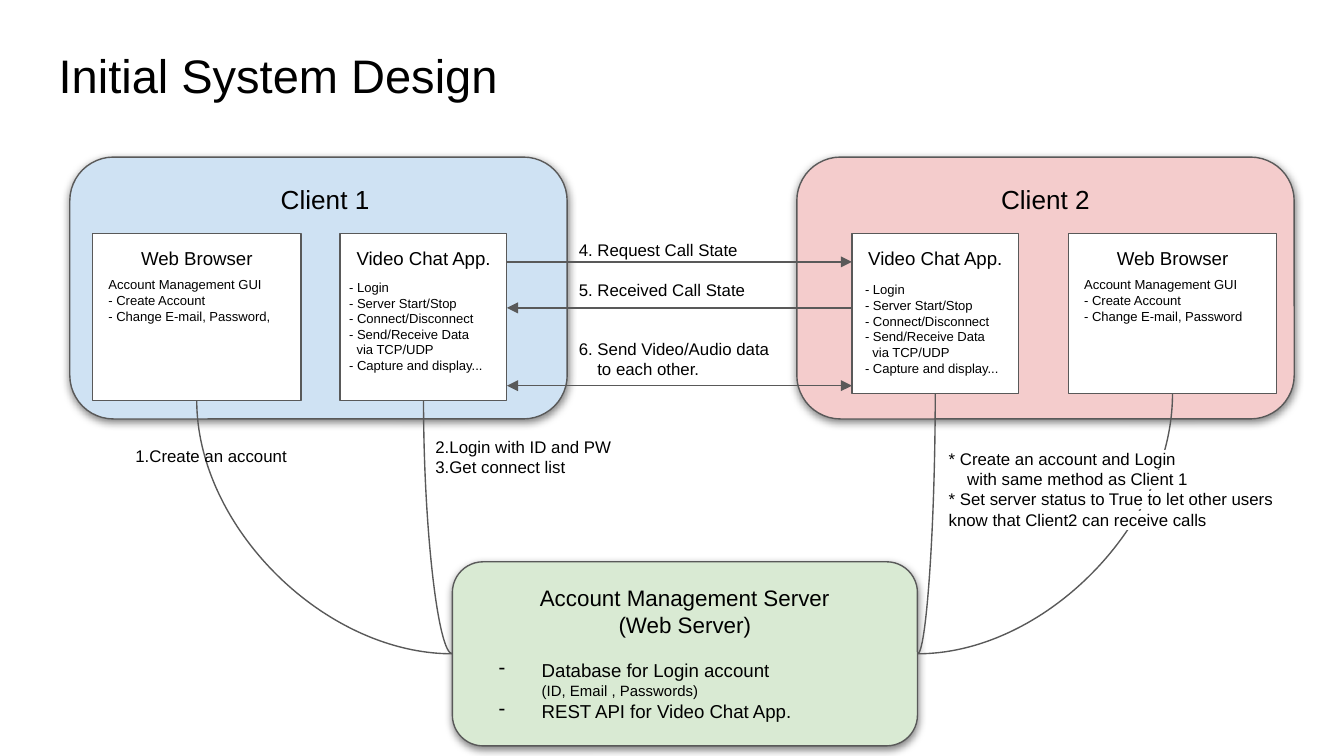
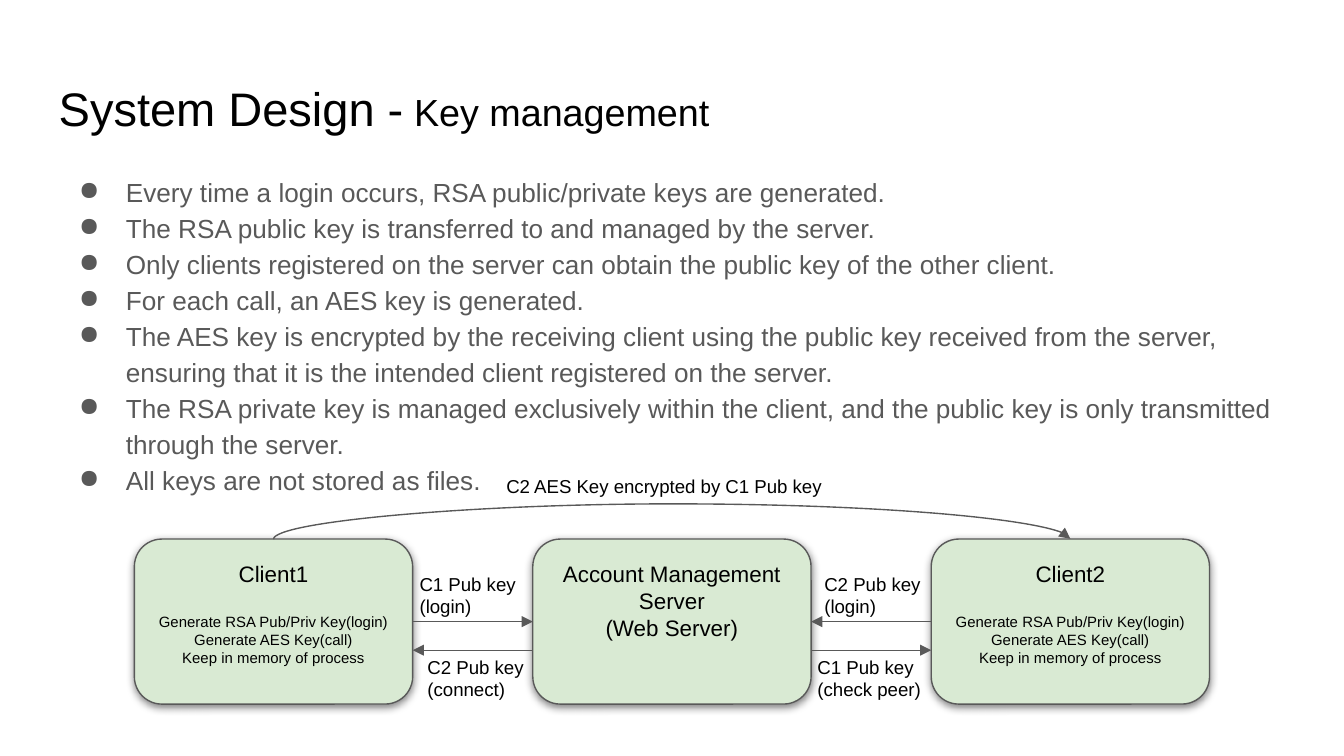
from dataclasses import dataclass, replace

from lxml.etree import SubElement
from pptx import Presentation
from pptx.dml.color import RGBColor
from pptx.enum.shapes import MSO_CONNECTOR as Link, MSO_SHAPE as Shape
from pptx.enum.text import MSO_ANCHOR as Anchor, MSO_AUTO_SIZE as Fit, PP_ALIGN as Align
from pptx.oxml.ns import qn
from pptx.util import Cm, Pt


@dataclass(frozen=True)
class Theme:
    """Colours, fonts and type sizes shared by the slides."""
    font: str = "Arial"
    ink: str = "000000"
    grey: str = "595959"
    white: str = "FFFFFF"
    blue: str = "CFE2F3"
    red: str = "F4CCCC"
    green: str = "D9EAD3"
    title: float = 25.2
    subtitle: float = 20.2
    body: float = 14
    node: float = 12
    card: float = 10
    label: float = 9
    detail: float = 8
    small: float = 7
    stroke: float = 0.75
    inset: float = 0.25


THEME = Theme()


@dataclass(frozen=True)
class Box:
    """A rectangle in centimetres."""
    left: float
    top: float
    width: float
    height: float

    def inner(self, left, top, width, height):
        """Return a box placed relative to this one."""
        return Box(self.left + left, self.top + top, width, height)

    def lengths(self):
        """Return left, top, width and height as lengths."""
        return [Cm(value) for value in (self.left, self.top, self.width, self.height)]


@dataclass(frozen=True)
class Line:
    """One paragraph: text, type size and layout."""
    text: str
    size: float
    left: float = 0
    first: float = 0
    bullet: str = ""
    before: float = 0
    spacing: float = 1
    align: Align = Align.LEFT
    color: str = THEME.ink
    highlight: str = ""


def rgb(value):
    """Turn a hex string into a colour."""
    return RGBColor.from_string(value)


def add_xml(parent, tag, **attributes):
    """Append a drawing element with attributes."""
    node = SubElement(parent, qn(f"a:{tag}"))
    for name, value in attributes.items():
        node.set(name, str(value))
    return node


def centred(text, size, **options):
    """Return a centred line."""
    return Line(text, size, align=Align.CENTER, **options)


def style_para(para, line):
    """Fill a paragraph from a line."""
    properties = para._p.get_or_add_pPr()
    if line.left:
        properties.set("marL", str(Cm(line.left)))
        properties.set("indent", str(Cm(line.first)))
    if line.bullet:
        add_xml(add_xml(properties, "buClr"), "srgbClr", val=line.color)
        add_xml(properties, "buChar", char=line.bullet)
    para.alignment = line.align
    para.line_spacing = line.spacing
    para.space_before = Pt(line.before)
    para.font.name = THEME.font
    para.font.size = Pt(line.size)
    para.font.color.rgb = rgb(line.color)
    span = para.add_run()
    span.text = line.text
    if line.highlight:
        mark = add_xml(span._r.get_or_add_rPr(), "highlight")
        add_xml(mark, "srgbClr", val=line.highlight)


def write(shape, lines, anchor=Anchor.TOP):
    """Write lines into a shape with the common insets."""
    frame = shape.text_frame
    frame.word_wrap = True
    frame.vertical_anchor = anchor
    frame.margin_left = frame.margin_right = Cm(THEME.inset)
    frame.margin_top = frame.margin_bottom = Cm(THEME.inset)
    for index, line in enumerate(lines):
        style_para(frame.add_paragraph() if index else frame.paragraphs[0], line)


def add_text(page, box, lines, fit=Fit.SHAPE_TO_FIT_TEXT, anchor=Anchor.TOP):
    """Add a text box."""
    text = page.shapes.add_textbox(*box.lengths())
    write(text, lines, anchor)
    text.text_frame.auto_size = fit
    return text


def add_box(page, kind, box, fill, lines):
    """Add an outlined box; rounded ones cast a soft shadow."""
    shape = page.shapes.add_shape(kind, *box.lengths())
    shape.shadow.inherit = False
    shape.fill.solid()
    shape.fill.fore_color.rgb = rgb(fill)
    shape.line.color.rgb = rgb(THEME.grey)
    shape.line.width = Pt(THEME.stroke)
    if kind == Shape.ROUNDED_RECTANGLE:
        effects = shape._element.spPr.find(qn("a:effectLst"))
        shadow = add_xml(effects, "outerShdw", blurRad=Pt(4.5), dist=Pt(1.5),
                         dir=5400000, algn="bl", rotWithShape=0)
        add_xml(add_xml(shadow, "srgbClr", val="000000"), "alpha", val=50000)
    write(shape, lines)
    return shape


def add_link(page, start, end, kind=Link.STRAIGHT, arrows=(), joins=()):
    """Add a connector with arrowheads, joined to shapes if any are given."""
    link = page.shapes.add_connector(kind, *[Cm(value) for value in (*start, *end)])
    link.line.color.rgb = rgb(THEME.grey)
    link.line.width = Pt(THEME.stroke)
    stroke = link.line._get_or_add_ln()
    for side in arrows:
        add_xml(stroke, side, type="triangle")
    add_xml(link._element.spPr, "effectLst")
    if joins:
        (source, source_side), (target, target_side) = joins
        link.begin_connect(source, source_side)
        link.end_connect(target, target_side)
    return link


def add_title(page, top, text, suffix=""):
    """Add the slide title with an optional smaller suffix."""
    box = Box(0.86, top, 23.67, 1.6)
    title = add_text(page, box, [Line(text, THEME.title)], Fit.NONE, Anchor.MIDDLE)
    if suffix:
        span = title.text_frame.paragraphs[0].add_run()
        span.text = suffix
        span.font.size = Pt(THEME.subtitle)


def add_card(page, box, heading, notes_box, notes):
    """Add a white card with a heading and small notes."""
    card = add_box(page, Shape.RECTANGLE, box, THEME.white, [centred(heading, THEME.card)])
    add_text(page, box.inner(*notes_box), notes)
    return card


def add_browser(page, box, last_note):
    """Add the web browser card."""
    texts = ("Account Management GUI", "- Create Account", last_note)
    notes = [Line(text, THEME.small) for text in texts]
    return add_card(page, box, "Web Browser", (0.05, 0.56, 3.71, 1.42), notes)


def add_chat(page, box, notes_left, notes_top):
    """Add the video chat card."""
    texts = ("- Login", "- Server Start/Stop", "- Connect/Disconnect",
             "- Send/Receive Data", "via TCP/UDP", "- Capture and display...")
    notes = [Line(text, THEME.small, left=0 if text.startswith("-") else 0.14)
             for text in texts]
    return add_card(page, box, "Video Chat App.", (notes_left, notes_top, 3.52, 2.31), notes)


def add_client_1(page, box):
    """Add the first client and return its browser and chat cards."""
    add_box(page, Shape.ROUNDED_RECTANGLE, box, THEME.blue,
            [centred("Client 1", THEME.body, left=0.25)])
    return (add_browser(page, box.inner(0.43, 1.45, 3.94, 3.15), "- Change E-mail, Password,"),
            add_chat(page, box.inner(5.11, 1.45, 3.15, 3.15), -0.08, 0.61))


def add_client_2(page, box):
    """Add the second client and return its browser and chat cards."""
    add_box(page, Shape.ROUNDED_RECTANGLE, box, THEME.red, [centred("Client 2", THEME.body)])
    return (add_browser(page, box.inner(5.13, 1.45, 3.94, 3.02), "- Change E-mail, Password"),
            add_chat(page, box.inner(1.04, 1.45, 3.15, 3.02), 0, 0.66))


def server_heading():
    """Return the server name lines."""
    return [centred("Account Management Server", THEME.node),
            centred("(Web Server)", THEME.node)]


def add_server(page, box):
    """Add the account server with its duties."""
    item = Line("Database for Login account", THEME.card, 1.27, -0.81, "-", before=11.5)
    return add_box(page, Shape.ROUNDED_RECTANGLE, box, THEME.green, [
        *server_heading(), item,
        Line("(ID, Email , Passwords)", THEME.detail, 1.27),
        replace(item, text="REST API for Video Chat App.", before=0)])


def add_calls(page, box):
    """Add the call arrows and their labels between the clients."""
    right = box.left + box.width
    for top, arrows in ((0, ["tailEnd"]), (0.87, ["headEnd"]), (2.34, ["headEnd", "tailEnd"])):
        height = box.top + top
        add_link(page, (box.left, height), (right, height), arrows=arrows)
    add_text(page, box.inner(1.11, -0.66, 4.93, 1.68), [
        Line("4. Request Call State", THEME.label),
        Line("5. Received Call State", THEME.label, before=10.35)])
    add_text(page, box.inner(1.11, 1.2, 4.93, 1.27), [
        Line("6. Send Video/Audio data", THEME.label),
        Line("to each other.", THEME.label, left=0.35)])


def add_steps(page, box):
    """Add the notes beside the curves."""
    add_text(page, box.inner(0, 0.23, 7.37, 0.89),
             [Line("1.Create an account", THEME.label, left=1.27)])
    add_text(page, box.inner(4.4, 0, 8.33, 1.27),
             [Line(text, THEME.label, left=2.54)
              for text in ("2.Login with ID and PW", "3.Get connect list")])
    note = Line("* Create an account and Login", THEME.label, highlight=THEME.white)
    add_text(page, box.inner(16.64, 0.23, 7.37, 2.06), [
        note,
        replace(note, text="with same method as Client 1", left=0.35),
        replace(note, text="* Set server status to True to let other users "
                           "know that Client2 can receive calls")])


def build_system(page):
    """Build the system overview slide."""
    add_title(page, 0.61, "Initial System Design")
    server = add_server(page, Box(8.55, 10.62, 8.79, 3.48))
    left_cards = add_client_1(page, Box(1.32, 2.97, 9.4, 4.95))
    right_cards = add_client_2(page, Box(15.06, 2.97, 9.4, 4.95))
    for side, cards in ((1, left_cards), (3, right_cards)):
        for card in cards:
            curve = add_link(page, (0, 0), (1, 1), Link.CURVE,
                             joins=((server, side), (card, 2)))
            curve._element.spPr.prstGeom.set("prst", "curvedConnector2")
    add_calls(page, Box(9.58, 4.95, 6.52, 2.34))
    add_steps(page, Box(1.04, 8, 24, 2.3))


def add_bullets(page, box):
    """Add the key management rules."""
    rules = (
        "Every time a login occurs, RSA public/private keys are generated.",
        "The RSA public key is transferred to and managed by the server.",
        "Only clients registered on the server can obtain the public key of the other client.",
        "For each call, an AES key is generated.",
        "The AES key is encrypted by the receiving client using the public key received "
        "from the server, ensuring that it is the intended client registered on the server.",
        "The RSA private key is managed exclusively within the client, and the public key "
        "is only transmitted through the server.",
        "All keys are not stored as files.")
    add_text(page, box, [Line(rule, THEME.body, 1.27, -0.89, "●", spacing=1.15,
                              color=THEME.grey) for rule in rules], Fit.NONE)


def client_lines(name):
    """Return the lines of a client node."""
    first = centred("Generate RSA Pub/Priv Key(login)", THEME.detail, before=13.8)
    return [centred(name, THEME.node), first,
            *(replace(first, text=text, before=0)
              for text in ("Generate AES Key(call)", "Keep in memory of process"))]


def add_return_curve(page, box, source, target):
    """Add the curve that rises over the nodes from target to source."""
    lift, thin = 0.66, 0.01
    curve = add_link(page, (0, 0), (1, 1), Link.CURVE, ["headEnd"],
                     ((source, 0), (target, 0)))
    centre = box.left + box.width / 2
    frame = Box(centre - thin / 2, box.top - box.width / 2, thin, box.width)
    curve.left, curve.top, curve.width, curve.height = frame.lengths()
    properties = curve._element.spPr
    properties.xfrm.set("rot", "16200000")
    properties.xfrm.set("flipH", "1")
    guides = properties.prstGeom.get_or_add_avLst()
    add_xml(guides, "gd", name="adj1", fmla=f"val {round(-lift / thin * 100000)}")


def add_exchange(page, box):
    """Add the three nodes and the keys they exchange."""
    width, step = 5.26, 7.53
    contents = (client_lines("Client1"), server_heading(), client_lines("Client2"))
    nodes = [add_box(page, Shape.ROUNDED_RECTANGLE, box.inner(index * step, 0, width, box.height),
                     THEME.green, lines) for index, lines in enumerate(contents)]
    client_1, server, client_2 = nodes
    for source, side in ((client_1, 3), (client_2, 1)):
        add_link(page, (0, 0), (1, 1), arrows=["tailEnd"],
                 joins=((source, side), (server, 4 - side)))
    for index, arrow in enumerate(("headEnd", "tailEnd")):
        gap = box.inner(index * step + width, 2.1, step - width, 0)
        add_link(page, (gap.left, gap.top), (gap.left + gap.width, gap.top), arrows=[arrow])
    labels = ((-0.12, 0.38, "C1 Pub key", "(login)"), (7.53, 0.38, "C2 Pub key", "(login)"),
              (0.03, 1.95, "C2 Pub key", "(connect)"), (7.4, 1.95, "C1 Pub key", "(check peer)"))
    for left, top, *texts in labels:
        add_text(page, box.inner(width + left, top, 2.54, 1.37),
                 [Line(text, THEME.card) for text in texts])
    add_return_curve(page, box.inner(width / 2, 0, 2 * step, 0), client_1, client_2)
    add_text(page, box.inner(6.78, -1.42, 7.29, 0.94),
             [Line("C2 AES Key encrypted by C1 Pub key", THEME.card)])


def build_keys(page):
    """Build the key management slide."""
    add_title(page, 1.24, "System Design -", " Key management")
    add_bullets(page, Box(0.86, 3, 23.67, 9.5))
    add_exchange(page, Box(2.54, 10.19, 20.32, 3.12))


def main():
    """Build and save the deck."""
    deck = Presentation()
    deck.slide_width, deck.slide_height = Cm(25.4), Cm(14.29)
    for build in (build_system, build_keys):
        build(deck.slides.add_slide(deck.slide_layouts[6]))
    deck.save("out.pptx")


if __name__ == "__main__":
    main()
